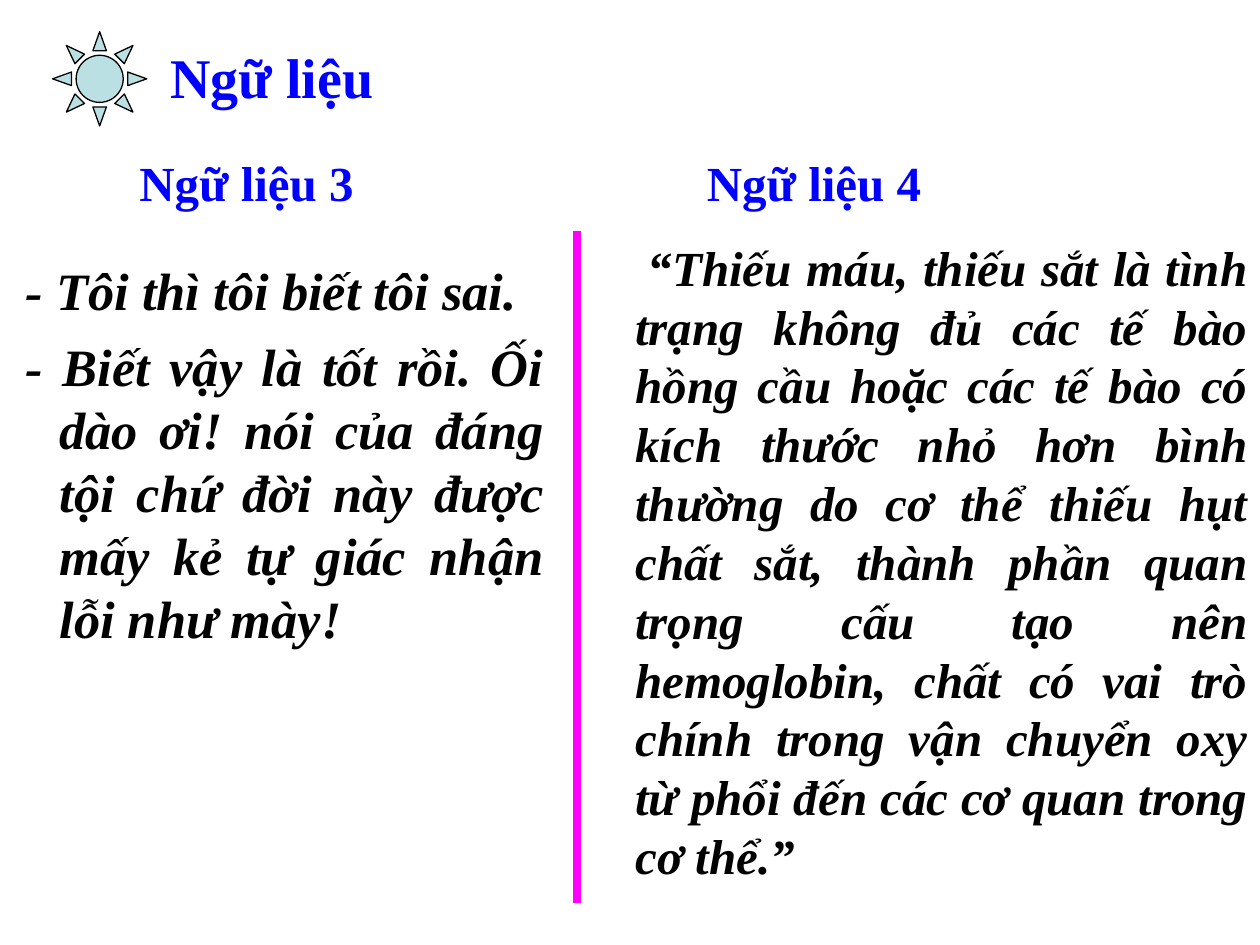
from pptx import Presentation
from pptx.dml.color import RGBColor
from pptx.enum import shapes as sh, text as tx
from pptx.oxml.ns import qn
from pptx.util import Cm, Pt

HUES = {"head": "0000FF", "body": "000000", "rule": "FF00FF", "sun": "BBE0E3"}
HEAD = {"name": "Times New Roman", "bold": True, "size": Pt(28)}
BODY = {**HEAD, "italic": True}

LEFT = ["- Tôi thì tôi biết tôi sai.",
        "- Biết vậy là tốt rồi. Ối dào ơi! nói của đáng tội chứ đời này "
        "được mấy kẻ tự giác nhận lỗi như mày!"]
RIGHT = ["“Thiếu máu, thiếu sắt là tình trạng không đủ các tế bào hồng cầu "
         "hoặc các tế bào có kích thước nhỏ hơn bình thường do cơ thể thiếu "
         "hụt chất sắt, thành phần quan trọng cấu tạo nên hemoglobin, chất "
         "có vai trò chính trong vận chuyển oxy từ phổi đến các cơ quan "
         "trong cơ thể.”"]


def tint(hue):
    return RGBColor.from_string(HUES[hue])


def write(slide, box, lines, form, hue, aligns, hang=None, inset=0.25,
          anchor=tx.MSO_ANCHOR.TOP):
    """Text box; hang is (left margin, first-line indent) in cm."""
    frame = slide.shapes.add_textbox(*map(Cm, box)).text_frame
    frame.word_wrap = True
    frame.margin_left = Cm(inset)
    frame.vertical_anchor = anchor
    for i, (line, align) in enumerate(zip(lines, aligns)):
        para = frame.add_paragraph() if i else frame.paragraphs[0]
        para.text, para.alignment = line, align
        if i:
            para.space_before = Pt(7.5)
        if hang:
            props = para._p.get_or_add_pPr()
            for key, size in zip(("marL", "indent"), hang):
                props.set(key, str(int(Cm(size))))
        for key, value in form.items():
            setattr(para.font, key, value)
        para.font.color.rgb = tint(hue)


def top(slide, x, y, w, h):
    # Sun mark, then the slide title
    side = 1.9
    sun = slide.shapes.add_shape(sh.MSO_SHAPE.SUN, *map(Cm, (x, y, side, side)))
    sun.shadow.inherit = False
    sun.fill.solid()
    sun.fill.fore_color.rgb = tint("sun")
    sun.line.color.rgb = tint("body")
    sun.line.width = Pt(0.75)
    gap = 2.12
    write(slide, (x + gap, y, w - gap, h), ["Ngữ liệu"],
          {**HEAD, "size": Pt(32)}, "head", [tx.PP_ALIGN.LEFT],
          anchor=tx.MSO_ANCHOR.MIDDLE)


def label(slide, x, y, w, h, num):
    write(slide, (x, y, w, h), [f"Ngữ liệu {num}"], HEAD, "head",
          [tx.PP_ALIGN.CENTER])


def rule(slide, x, y, h):
    line = slide.shapes.add_connector(
        sh.MSO_CONNECTOR.STRAIGHT, *map(Cm, (x, y, x, y + h)))
    line.line.color.rgb = tint("rule")
    line.line.width = Pt(4.5)
    props = line._element.spPr
    props.append(props.makeelement(qn("a:effectLst"), {}))


def main():
    deck = Presentation()
    deck.slide_width, deck.slide_height = Cm(25.4), Cm(19.05)
    slide = deck.slides.add_slide(deck.slide_layouts[6])
    just = tx.PP_ALIGN.JUSTIFY

    top(slide, 1.06, 0.64, 23.07, 1.78)
    # Two headed passages with a rule between them
    for num, x in ((3, 1.9), (4, 13.34)):
        label(slide, x, 2.96, 6.14, 1.45, num)
    write(slide, (0, 5.08, 11.22, 12.57), LEFT, {**BODY, "size": Pt(30)},
          "body", [tx.PP_ALIGN.LEFT, just], hang=(0.95, -0.68))
    rule(slide, 11.64, 4.66, 13.55)
    write(slide, (11.86, 4.66, 13.54, 14.39), RIGHT, BODY, "body", [just],
          hang=(0.95, 0.25), inset=0)

    deck.save("out.pptx")


if __name__ == "__main__":
    main()
